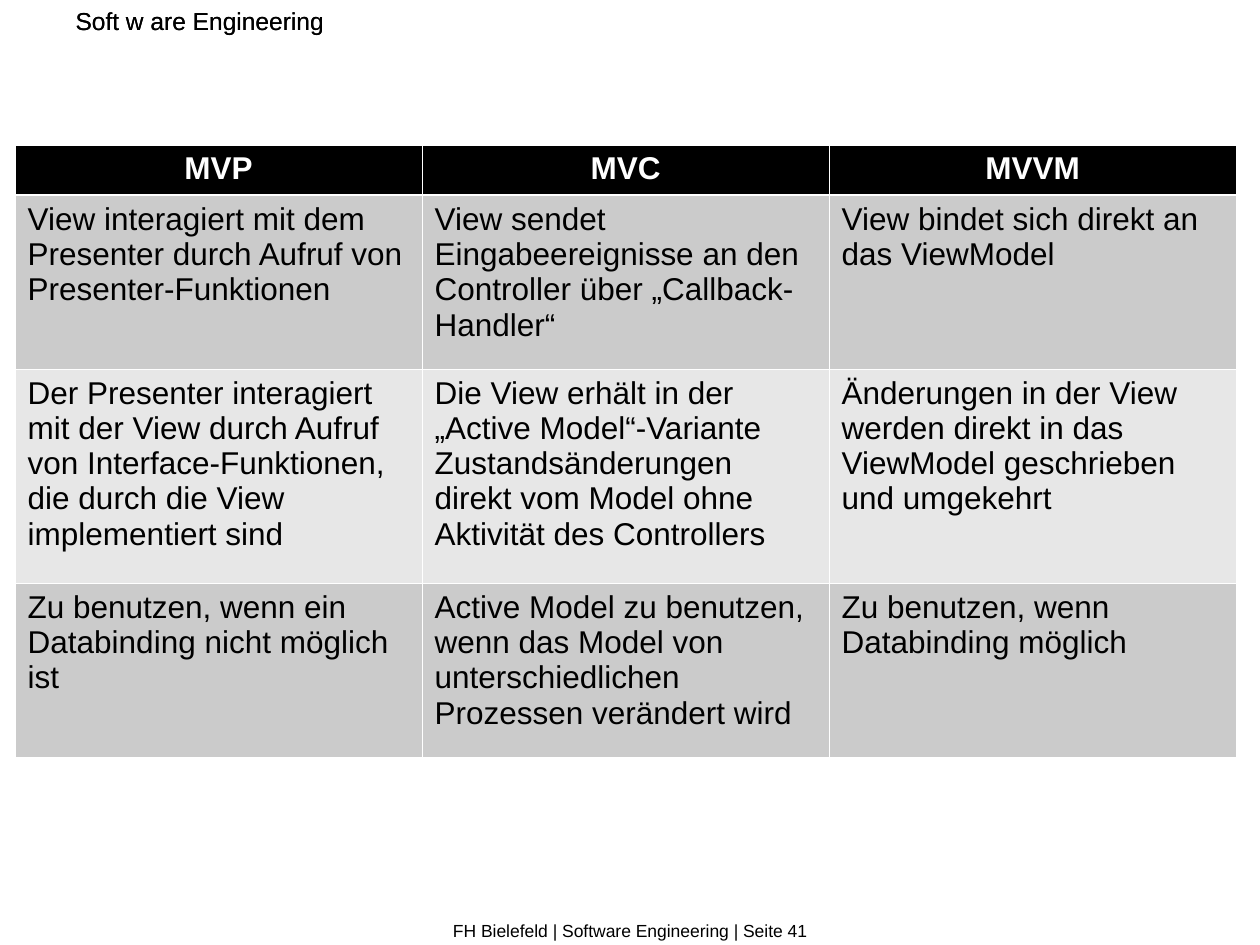
"""Build a slide comparing the MVP, MVC and MVVM patterns in a table."""
from dataclasses import dataclass

from lxml import etree
from pptx import Presentation
from pptx.dml.color import RGBColor
from pptx.enum.text import PP_ALIGN
from pptx.oxml.ns import qn
from pptx.util import Inches, Pt

LEFT, CENTER = PP_ALIGN.LEFT, PP_ALIGN.CENTER
BLACK = RGBColor(0x00, 0x00, 0x00)
WHITE = RGBColor(0xFF, 0xFF, 0xFF)
DARK_BAND = RGBColor(0xCB, 0xCB, 0xCB)
LIGHT_BAND = RGBColor(0xE7, 0xE7, 0xE7)
FONT = "Arial"
BLANK_LAYOUT = 6
THIN, THICK = Pt(0.45), Pt(1.47)
TABLE_LEFT, TABLE_TOP, COLUMN_WIDTH = 0.12, 1.15, 3.23


@dataclass(frozen=True)
class Label:
    """A line of running text in inches and points."""
    text: str
    left: float
    top: float
    width: float
    height: float
    size: int
    align: PP_ALIGN


@dataclass(frozen=True)
class Row:
    """A table row with its height in inches and its look."""
    height: float
    fill: RGBColor
    texts: tuple[str, ...]
    header: bool = False


HEADER_TEXT = "Soft w are Engineering"
LABELS = (
    Label("FH Bielefeld | Software Engineering | Seite 41", 0, 7.3, 10, 0.33, 10, CENTER),
    *(Label(HEADER_TEXT, 0.6, 0.05, width, 0.23, 14, LEFT) for width in (8.99, 4.1)),
)
ROWS = (
    Row(0.4, BLACK, ("MVP", "MVC", "MVVM"), header=True),
    Row(1.38, DARK_BAND, (
        "View interagiert mit dem Presenter durch Aufruf von Presenter-Funktionen",
        "View sendet Eingabeereignisse an den Controller über „Callback-Handler“",
        "View bindet sich direkt an das ViewModel",
    )),
    Row(1.7, LIGHT_BAND, (
        "Der Presenter interagiert mit der View durch Aufruf von Interface-Funktionen, "
        "die durch die View implementiert sind",
        "Die View erhält in der „Active Model“-Variante Zustandsänderungen direkt vom "
        "Model ohne Aktivität des Controllers",
        "Änderungen in der View werden direkt in das ViewModel geschrieben und umgekehrt",
    )),
    Row(1.38, DARK_BAND, (
        "Zu benutzen, wenn ein Databinding nicht möglich ist",
        "Active Model zu benutzen, wenn das Model von unterschiedlichen Prozessen "
        "verändert wird",
        "Zu benutzen, wenn Databinding möglich",
    )),
)


def write(frame, text: str, size: int, color: RGBColor, align: PP_ALIGN, bold: bool = False) -> None:
    """Put one formatted paragraph into a text frame."""
    para = frame.paragraphs[0]
    para.text = text
    para.alignment = align
    para.font.name = FONT
    para.font.size = Pt(size)
    para.font.bold = bold
    para.font.color.rgb = color


def add_label(page, label: Label) -> None:
    """Draw a line of running text without insets."""
    box = page.shapes.add_textbox(*map(Inches, (label.left, label.top, label.width, label.height)))
    frame = box.text_frame
    frame.word_wrap = True
    frame.margin_left = frame.margin_top = frame.margin_right = frame.margin_bottom = 0
    write(frame, label.text, label.size, BLACK, label.align)


def set_borders(cell, top: int, bottom: int) -> None:
    """Give a cell white borders on all four sides."""
    properties = cell._tc.get_or_add_tcPr()
    widths = {"a:lnL": THIN, "a:lnR": THIN, "a:lnT": top, "a:lnB": bottom}
    for position, (tag, width) in enumerate(widths.items()):
        line = etree.Element(qn(tag), w=str(int(width)))
        fill = etree.SubElement(line, qn("a:solidFill"))
        etree.SubElement(fill, qn("a:srgbClr"), val=str(WHITE))
        properties.insert(position, line)


def add_comparison(page, rows: tuple[Row, ...]) -> None:
    """Draw the comparison table."""
    columns = len(rows[0].texts)
    area = (TABLE_LEFT, TABLE_TOP, COLUMN_WIDTH * columns, sum(row.height for row in rows))
    table = page.shapes.add_table(len(rows), columns, *map(Inches, area)).table
    for column in table.columns:
        column.width = Inches(COLUMN_WIDTH)
    for index, row in enumerate(rows):
        table.rows[index].height = Inches(row.height)
        color, align = (WHITE, CENTER) if row.header else (BLACK, LEFT)
        top = THICK if index == 1 else THIN
        bottom = THICK if row.header else THIN
        for cell, text in zip(table.rows[index].cells, row.texts):
            cell.fill.solid()
            cell.fill.fore_color.rgb = row.fill
            set_borders(cell, top, bottom)
            write(cell.text_frame, text, 18, color, align, row.header)


def main() -> None:
    """Create and save the deck."""
    deck = Presentation()
    deck.slide_width, deck.slide_height = Inches(10), Inches(7.5)
    page = deck.slides.add_slide(deck.slide_layouts[BLANK_LAYOUT])
    for label in LABELS:
        add_label(page, label)
    add_comparison(page, ROWS)
    deck.save("out.pptx")


if __name__ == "__main__":
    main()
